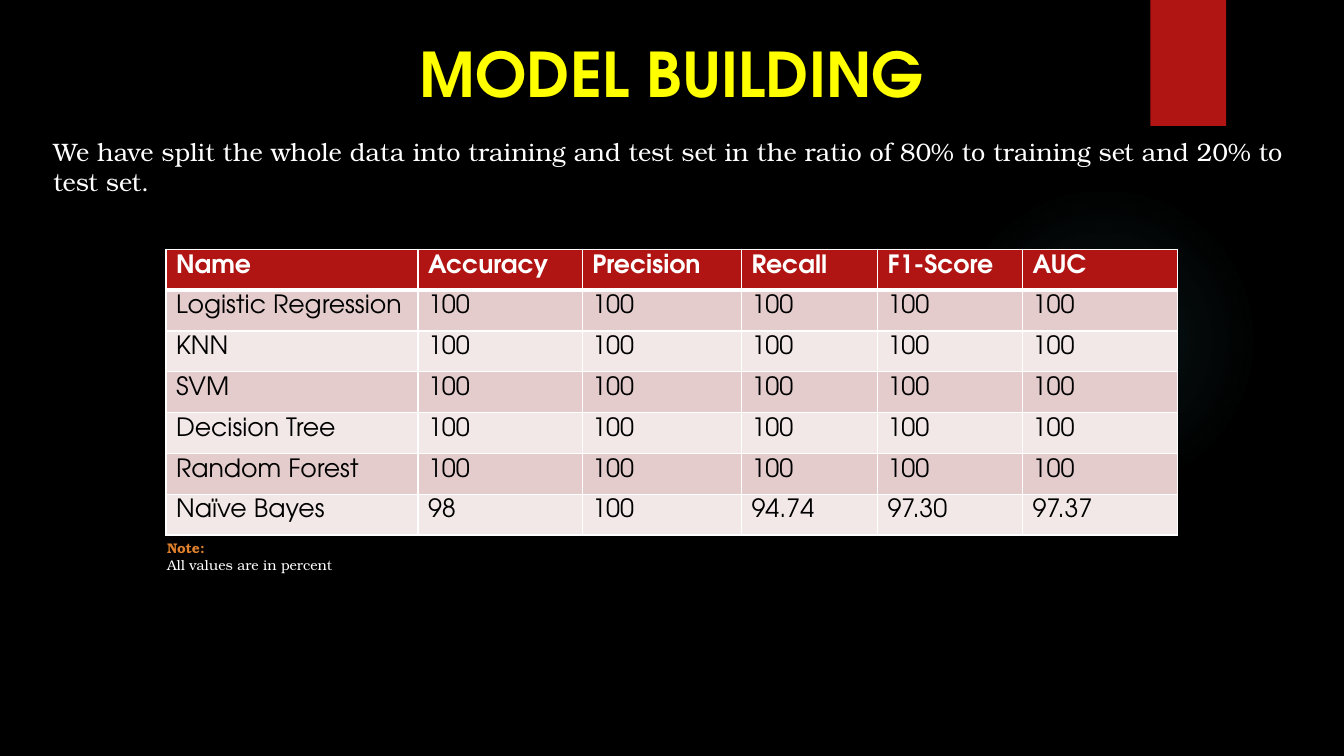
"""Build the model building slide with its table of classifier scores."""
from dataclasses import dataclass

from lxml import etree
from pptx import Presentation
from pptx import util as u
from pptx.dml.color import RGBColor
from pptx.enum import shapes, text
from pptx.oxml import ns

BLACK = RGBColor(0x00, 0x00, 0x00)
WHITE = RGBColor(0xFF, 0xFF, 0xFF)
YELLOW = RGBColor(0xFF, 0xFF, 0x00)
ORANGE = RGBColor(0xE1, 0x81, 0x2C)
RED = RGBColor(0xB0, 0x15, 0x13)
ROSE = RGBColor(0xE4, 0xCC, 0xCC)
PALE_ROSE = RGBColor(0xF2, 0xE8, 0xE7)
TEAL = RGBColor(0x50, 0xB9, 0xC1)

SANS = "TeX Gyre Adventor"
SERIF = "TeX Gyre Bonum"
SLIDE_WIDTH = u.Inches(13.33)
SLIDE_HEIGHT = u.Inches(7.5)

COLUMN_SHARES = (18.75, 12.22, 11.85, 10.12, 10.8, 11.55)
SCORES = (
    ("Name", "Accuracy", "Precision", "Recall", "F1-Score", "AUC"),
    *((name, *["100"] * 5) for name in (
        "Logistic Regression", "KNN", "SVM", "Decision Tree", "Random Forest")),
    ("Naïve Bayes", "98", "100", "94.74", "97.30", "97.37"),
)
GLOW_STOPS = ((0, 7), (36, 6), (69, 0))


@dataclass(frozen=True)
class Area:
    """A rectangle in percent of the slide's width and height."""
    left: float
    top: float
    width: float
    height: float

    def box(self) -> tuple[int, int, int, int]:
        """Return left, top, width and height as lengths."""
        return (across(self.left), down(self.top),
                across(self.width), down(self.height))


@dataclass(frozen=True)
class Style:
    """The look of a run."""
    font: str
    size: int
    color: RGBColor
    bold: bool = False


@dataclass(frozen=True)
class Line:
    """One paragraph holding one run."""
    words: str
    style: Style


@dataclass(frozen=True)
class Caption:
    """A text box."""
    area: Area
    lines: tuple[Line, ...]
    alignment: text.PP_ALIGN = text.PP_ALIGN.LEFT
    wrap: bool = True


HEADER_STYLE = Style(SANS, 18, WHITE, True)
BODY_STYLE = Style(SANS, 18, BLACK)
GLOW_AREA = Area(70.58, 24.4, 23.1, 41.07)
RIBBON_AREA = Area(85.6, 0, 5.63, 16.67)
TABLE_AREA = Area(12.35, 32.98, sum(COLUMN_SHARES), 37.8)
CAPTIONS = (
    Caption(Area(0, 4.05, 100, 11.2),
            (Line("MODEL BUILDING", Style(SANS, 44, YELLOW, True)),),
            text.PP_ALIGN.CENTER),
    Caption(Area(3.23, 17.33, 96.77, 5.33),
            (Line("We have split the whole data into training and test set in "
                  "the ratio of 80% to training set and 20% to test set.",
                  Style(SERIF, 18, WHITE)),)),
    Caption(Area(11.7, 70.75, 13.8, 5.87),
            (Line("Note:", Style(SERIF, 10, ORANGE, True)),
             Line("All values are in percent", Style(SERIF, 10, WHITE))),
            wrap=False),
)


def across(share: float) -> int:
    """Turn a percentage of the slide's width into a length."""
    return u.Emu(round(SLIDE_WIDTH * share / 100))


def down(share: float) -> int:
    """Turn a percentage of the slide's height into a length."""
    return u.Emu(round(SLIDE_HEIGHT * share / 100))


def add_run(paragraph, line: Line) -> None:
    """Append a styled run to a paragraph."""
    run = paragraph.add_run()
    run.text = line.words
    run.font.name = line.style.font
    run.font.size = u.Pt(line.style.size)
    run.font.bold = line.style.bold
    run.font.color.rgb = line.style.color


def add_caption(slide, caption: Caption) -> None:
    """Draw a text box."""
    frame = slide.shapes.add_textbox(*caption.area.box()).text_frame
    frame.word_wrap = caption.wrap
    for index, line in enumerate(caption.lines):
        paragraph = frame.add_paragraph() if index else frame.paragraphs[0]
        paragraph.alignment = caption.alignment
        add_run(paragraph, line)


def add_plain_shape(slide, kind: shapes.MSO_SHAPE, area: Area, color: RGBColor):
    """Draw a filled shape with neither line nor shadow."""
    shape = slide.shapes.add_shape(kind, *area.box())
    shape.shadow.inherit = False
    shape.line.fill.background()
    shape.fill.solid()
    shape.fill.fore_color.rgb = color
    return shape


def add_glow(slide) -> None:
    """Draw the faint round glow behind the table."""
    properties = add_plain_shape(
        slide, shapes.MSO_SHAPE.OVAL, GLOW_AREA, TEAL)._element.spPr
    gradient = etree.Element(ns.qn("a:gradFill"), rotWithShape="1")
    stops = etree.SubElement(gradient, ns.qn("a:gsLst"))
    for position, opacity in GLOW_STOPS:
        stop = etree.SubElement(stops, ns.qn("a:gs"), pos=str(position * 1000))
        color = etree.SubElement(stop, ns.qn("a:srgbClr"), val=str(TEAL))
        etree.SubElement(color, ns.qn("a:alpha"), val=str(opacity * 1000))
    circle = etree.SubElement(gradient, ns.qn("a:path"), path="circle")
    etree.SubElement(circle, ns.qn("a:fillToRect"),
                     dict.fromkeys("ltrb", "50000"))
    properties.replace(properties.find(ns.qn("a:solidFill")), gradient)


def set_borders(cell, top: int, bottom: int) -> None:
    """Give a cell white borders, with top and bottom widths in points."""
    properties = cell._tc.get_or_add_tcPr()
    widths = {"L": 1, "R": 1, "T": top, "B": bottom}
    for index, (side, width) in enumerate(widths.items()):
        border = etree.Element(ns.qn(f"a:ln{side}"), w=str(u.Pt(width)))
        fill = etree.SubElement(border, ns.qn("a:solidFill"))
        etree.SubElement(fill, ns.qn("a:srgbClr"), val=str(WHITE))
        properties.insert(index, border)


def add_scores(slide) -> None:
    """Draw the banded table of scores."""
    table = slide.shapes.add_table(
        len(SCORES), len(COLUMN_SHARES), *TABLE_AREA.box()).table
    for column, share in zip(table.columns, COLUMN_SHARES):
        column.width = across(share)
    for row, values in enumerate(SCORES):
        table.rows[row].height = down(TABLE_AREA.height / len(SCORES))
        band = ROSE if row % 2 else PALE_ROSE
        for column, value in enumerate(values):
            cell = table.cell(row, column)
            cell.fill.solid()
            cell.fill.fore_color.rgb = band if row else RED
            set_borders(cell, 3 if row == 1 else 1, 1 if row else 3)
            add_run(cell.text_frame.paragraphs[0],
                    Line(value, BODY_STYLE if row else HEADER_STYLE))


def main() -> None:
    """Build and save the presentation."""
    presentation = Presentation()
    presentation.slide_width = SLIDE_WIDTH
    presentation.slide_height = SLIDE_HEIGHT
    slide = presentation.slides.add_slide(presentation.slide_layouts[6])
    slide.background.fill.solid()
    slide.background.fill.fore_color.rgb = BLACK
    add_glow(slide)
    add_plain_shape(slide, shapes.MSO_SHAPE.RECTANGLE, RIBBON_AREA, RED)
    add_scores(slide)
    for caption in CAPTIONS:
        add_caption(slide, caption)
    presentation.save("out.pptx")


if __name__ == "__main__":
    main()
